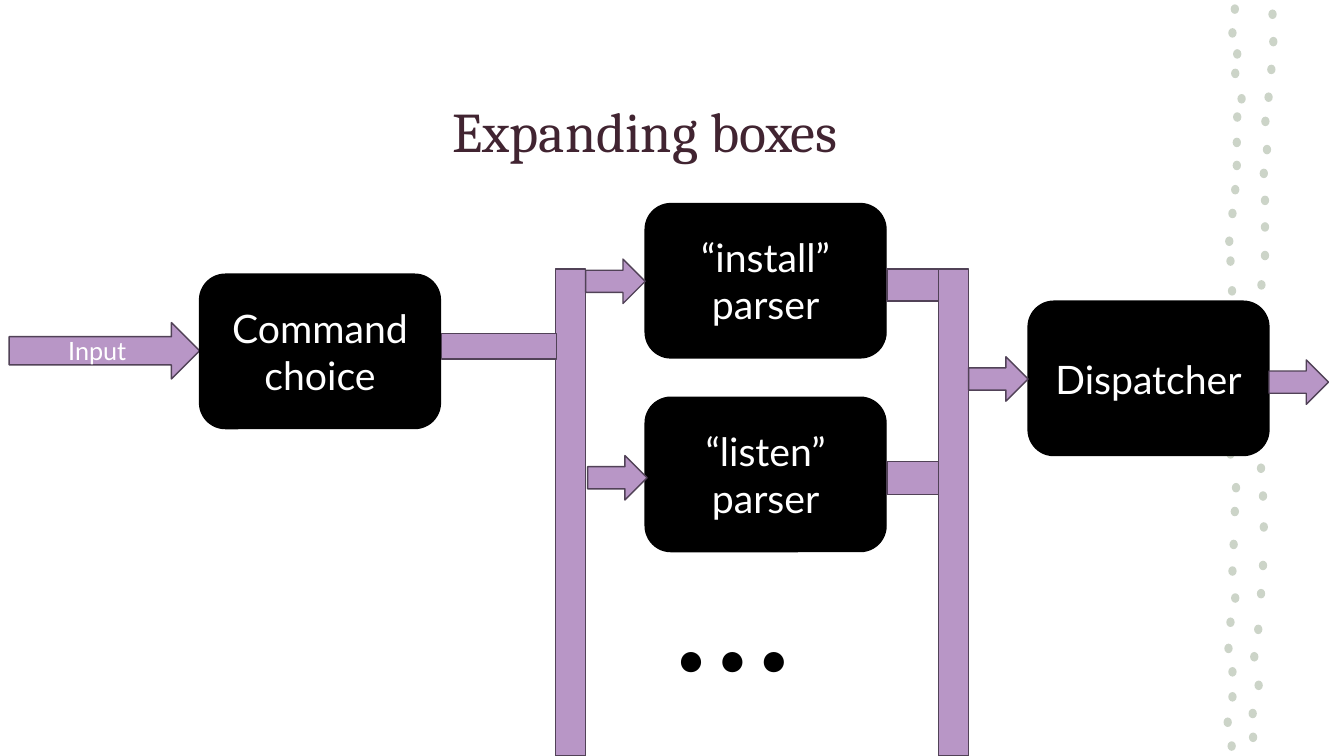
from pptx import Presentation
from pptx.dml.color import RGBColor
from pptx.enum.shapes import MSO_SHAPE as SHAPE
from pptx.enum.text import MSO_ANCHOR as ANCHOR, MSO_AUTO_SIZE as AUTO, PP_ALIGN as ALIGN
from pptx.util import Cm, Pt

# Content: lengths in cm, sizes in points
TITLE = ("Expanding boxes", (2.87, 1.45, 26.77, 3.68))
ELLIPSIS = ("…", (16.69, 12.73, 4.6, 5.18))
INPUT = ("Input", (0.23, 8.13, 4.8, 1.42))

BOX_SIZE = (6.07, 3.89)
BOXES = [
    (["Command choice"], (5.03, 6.91)),
    (["“install”", "parser"], (16.26, 5.13)),
    (["“listen”", "parser"], (16.26, 10.01)),
    (["Dispatcher"], (25.91, 7.59)),
]

BUS_TOP, BUS_SIZE = 6.78, (0.76, 12.27)
BUS_LEFTS = [14.0, 23.65]
LINKS = [  # plain bars between a box and a bus
    (11.13, 8.41, 2.9, 0.64),
    (22.35, 6.78, 1.3, 0.81),
    (22.35, 11.63, 1.3, 0.84),
]
ARROW_SIZE = (1.5, 1.12)
ARROWS = [(14.76, 6.53), (14.81, 11.48), (24.41, 8.99), (31.98, 9.07)]

DOT_SIZE = (0.21, 0.24)
DOTS = [  # centres, left column then right column
    (31.12, 0.23), (31.06, 0.83), (31.18, 1.36), (31.13, 1.85), (31.29, 2.49),
    (31.18, 2.95), (31.17, 3.59), (31.17, 4.17), (31.13, 4.78), (31.06, 5.38),
    (30.98, 6.08), (31.01, 6.58), (31.05, 7.33), (31.01, 11.44), (31.15, 12.29),
    (31.12, 12.89), (31.09, 13.72), (31.06, 14.39), (31.13, 15.07), (31.01, 15.68),
    (30.96, 16.34), (31.06, 16.93), (31.06, 17.56), (30.94, 18.2), (31.04, 18.8),
    (32.07, 0.36), (32.09, 1.05), (32.04, 1.75), (31.97, 2.45), (31.89, 3.06),
    (31.93, 3.77), (31.85, 4.37), (31.88, 5.05), (31.88, 5.72), (31.88, 6.44),
    (31.79, 7.18), (31.78, 11.8), (31.83, 12.5), (31.85, 13.28), (31.83, 14.25),
    (31.78, 14.96), (31.71, 15.86), (31.61, 16.55), (31.72, 17.27), (31.57, 17.98),
    (31.58, 18.58),
]

# Formats
FLOW = ("B896C6", "514257")
BOX = ("000000", "000000")
DOT = ("CCD4C8", None)
TITLE_FONT = {"name": "Cambria", "size": Pt(40), "color": "412431"}
BOX_FONT = {"name": "Lato", "size": Pt(28), "color": "FFFFFF"}
INPUT_FONT = {**BOX_FONT, "size": Pt(18)}
ELLIPSIS_FONT = {"name": "Lato", "size": Pt(115), "color": "000000"}


def rgb(value):
    return RGBColor.from_string(value)


def write(sp, lines, font, align=ALIGN.CENTER, anchor=ANCHOR.MIDDLE):
    tf = sp.text_frame
    tf.vertical_anchor = anchor
    for i, line in enumerate(lines):
        p = tf.paragraphs[0] if i == 0 else tf.add_paragraph()
        p.alignment = align
        r = p.add_run()
        r.text = line
        for key, value in font.items():
            if key == "color":
                r.font.color.rgb = rgb(value)
            else:
                setattr(r.font, key, value)


def add_part(s, kind, at, colors):
    sp = s.shapes.add_shape(kind, *map(Cm, at))
    sp.shadow.inherit = False
    fill, line = colors
    sp.fill.solid()
    sp.fill.fore_color.rgb = rgb(fill)
    if line:
        sp.line.color.rgb = rgb(line)
        sp.line.width = Pt(1)
    else:
        sp.line.fill.background()
    return sp


def main():
    prs = Presentation()
    prs.slide_width, prs.slide_height = Cm(33.87), Cm(19.05)
    s = prs.slides.add_slide(prs.slide_layouts[5])

    # Title
    text, at = TITLE
    title = s.shapes.title
    for key, value in zip(("left", "top", "width", "height"), at):
        setattr(title, key, Cm(value))
    write(title, [text], TITLE_FONT)

    # Dotted border
    w, h = DOT_SIZE
    for x, y in DOTS:
        add_part(s, SHAPE.OVAL, (x - w / 2, y - h / 2, w, h), DOT)

    # Input arrow and boxes
    text, at = INPUT
    write(add_part(s, SHAPE.RIGHT_ARROW, at, FLOW), [text], INPUT_FONT)
    for lines, corner in BOXES:
        sp = add_part(s, SHAPE.ROUNDED_RECTANGLE, corner + BOX_SIZE, BOX)
        write(sp, lines, BOX_FONT)

    # Ellipsis for further parsers
    text, at = ELLIPSIS
    sp = s.shapes.add_textbox(*map(Cm, at))
    sp.text_frame.word_wrap = False
    sp.text_frame.auto_size = AUTO.SHAPE_TO_FIT_TEXT
    write(sp, [text], ELLIPSIS_FONT, ALIGN.LEFT, ANCHOR.TOP)

    # Buses, links and arrows
    for left in BUS_LEFTS:
        add_part(s, SHAPE.RECTANGLE, (left, BUS_TOP) + BUS_SIZE, FLOW)
    for at in LINKS:
        add_part(s, SHAPE.RECTANGLE, at, FLOW)
    for corner in ARROWS:
        add_part(s, SHAPE.RIGHT_ARROW, corner + ARROW_SIZE, FLOW)

    prs.save("out.pptx")


if __name__ == "__main__":
    main()
